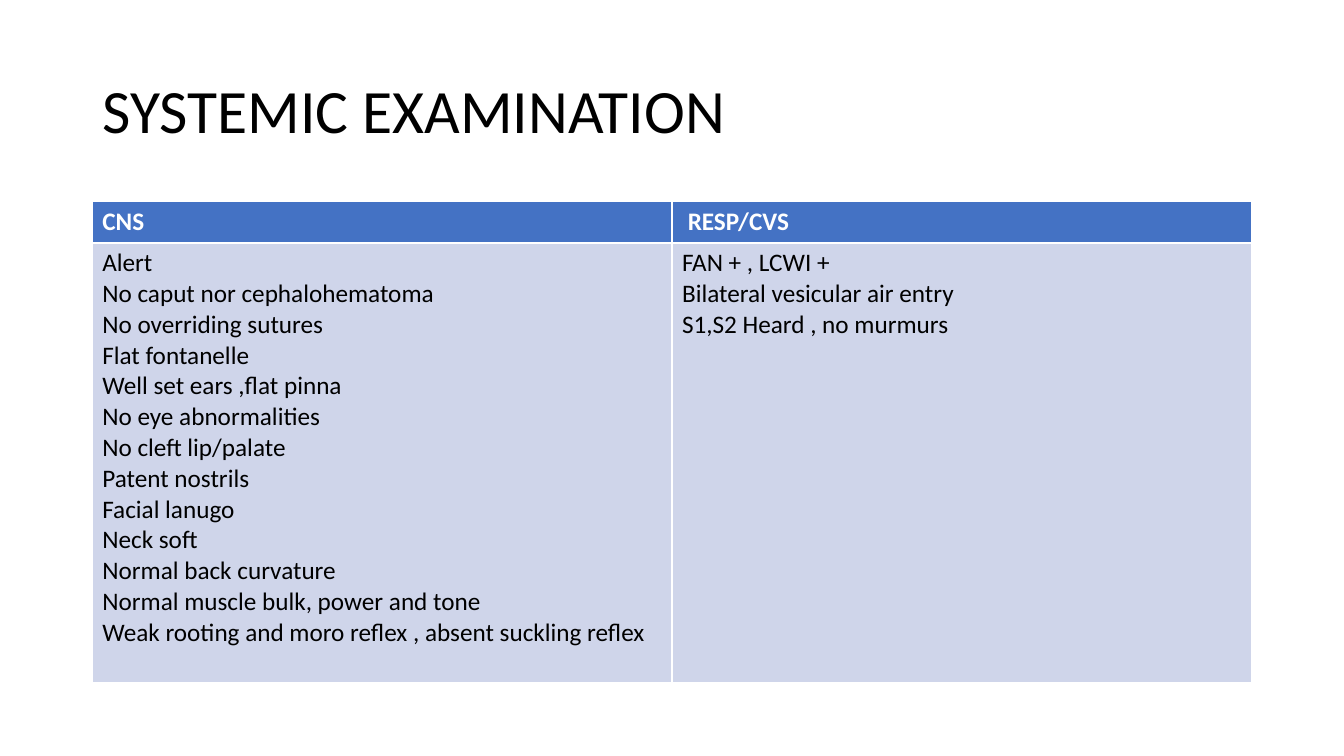
from pptx import Presentation
from pptx.dml.color import RGBColor
from pptx.enum.text import MSO_ANCHOR, MSO_AUTO_SIZE, PP_ALIGN
from pptx.util import Inches, Pt

LEFT = PP_ALIGN.LEFT
MIDDLE = MSO_ANCHOR.MIDDLE
NO_FIT = MSO_AUTO_SIZE.NONE
TITLE_ONLY = 5

THEME = {
    "font": "Calibri",
    "title": {"size": Pt(44), "bold": False, "color": RGBColor(0, 0, 0)},
    "header": {"size": Pt(18), "bold": True, "color": RGBColor(255, 255, 255)},
    "body": {"size": Pt(18), "bold": False, "color": RGBColor(0, 0, 0)},
    "header_fill": RGBColor(0x44, 0x72, 0xC4),
    "body_fill": RGBColor(0xCF, 0xD5, 0xEA),
}

FINDINGS = {
    "CNS": [
        "Alert",
        "No caput nor cephalohematoma",
        "No overriding sutures",
        "Flat fontanelle",
        "Well set ears ,flat pinna",
        "No eye abnormalities",
        "No cleft lip/palate",
        "Patent nostrils",
        "Facial lanugo",
        "Neck soft",
        "Normal back curvature",
        "Normal muscle bulk, power and tone",
        "Weak rooting and moro reflex , absent suckling reflex",
    ],
    " RESP/CVS": [
        "FAN + , LCWI +",
        "Bilateral vesicular air entry",
        "S1,S2 Heard , no murmurs",
    ],
}


def write(frame, lines, role):
    """Fill a text frame with one formatted paragraph per line."""
    frame.text = "\n".join(lines)
    for paragraph in frame.paragraphs:
        paragraph.alignment = LEFT
        for run in paragraph.runs:
            run.font.name = THEME["font"]
            run.font.size = THEME[role]["size"]
            run.font.bold = THEME[role]["bold"]
            run.font.color.rgb = THEME[role]["color"]


# Slide and its margins
prs = Presentation()
prs.slide_width, prs.slide_height = Inches(13.33), Inches(7.5)
slide = prs.slides.add_slide(prs.slide_layouts[TITLE_ONLY])
content_width = Inches(11.5)
margin = (prs.slide_width - content_width) // 2

# Title
title = slide.shapes.title
placement = {"left": margin, "top": Inches(0.4),
             "width": content_width, "height": Inches(1.45)}
for side, length in placement.items():
    setattr(title, side, length)
write(title.text_frame, ["SYSTEMIC EXAMINATION"], "title")
title.text_frame.auto_size = NO_FIT
title.text_frame.vertical_anchor = MIDDLE
title.text_frame.paragraphs[0].line_spacing = 0.9

# Findings table: one column per body system, white rules from the table style
row_heights = [Inches(0.41), Inches(4.36)]
findings_table = slide.shapes.add_table(
    len(row_heights), len(FINDINGS), margin, Inches(2),
    content_width, sum(row_heights)).table
for row, height in zip(findings_table.rows, row_heights):
    row.height = height

for column, (system, findings) in enumerate(FINDINGS.items()):
    for row, (role, lines) in enumerate([("header", [system]), ("body", findings)]):
        cell = findings_table.cell(row, column)
        cell.fill.solid()
        cell.fill.fore_color.rgb = THEME[role + "_fill"]
        write(cell.text_frame, lines, role)

prs.save("out.pptx")
